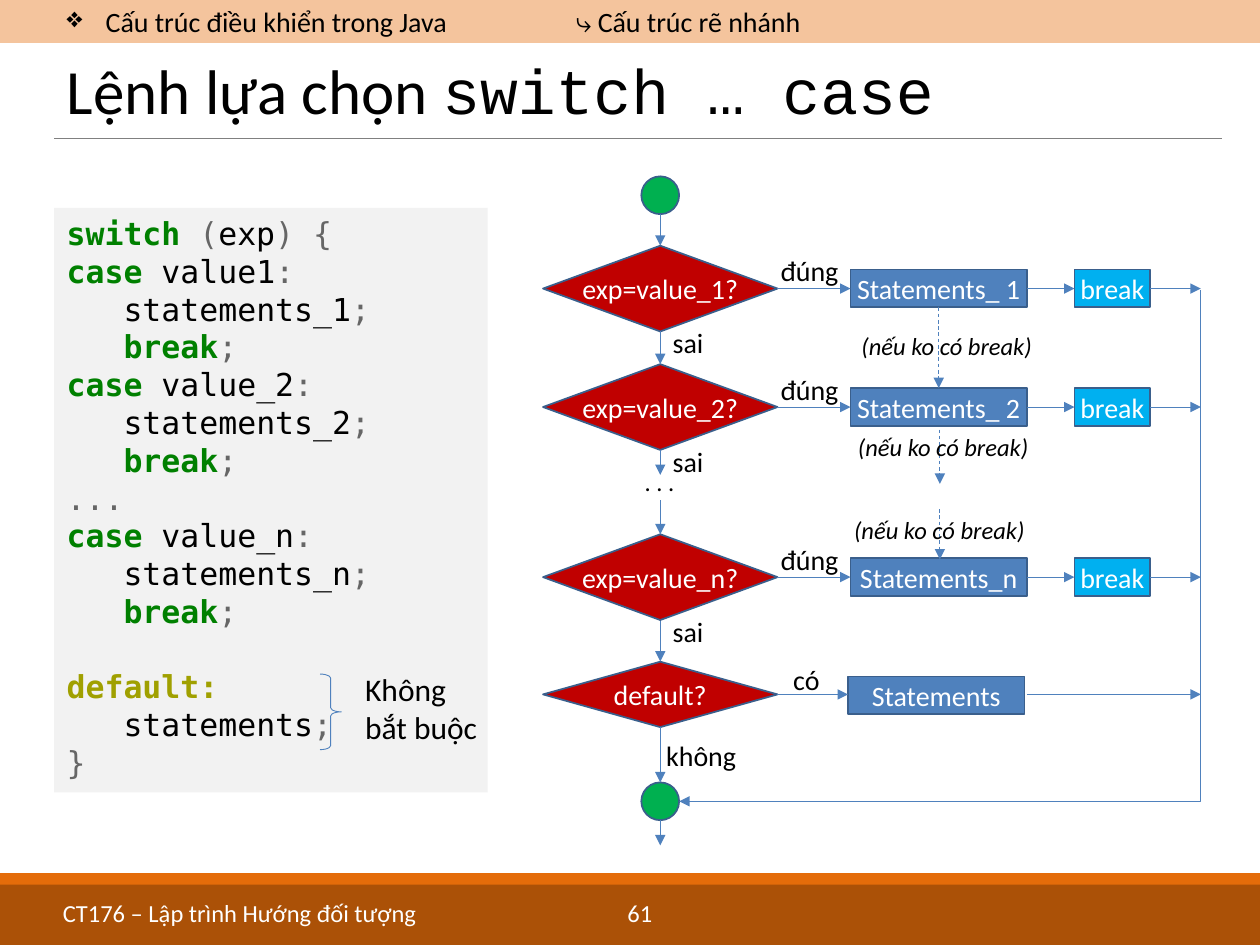
from lxml import etree
from pptx import Presentation
from pptx.dml.color import RGBColor
from pptx.enum import dml, shapes, text
from pptx.oxml.ns import qn
from pptx.util import Pt

BLACK = RGBColor(0x00, 0x00, 0x00)
WHITE = RGBColor(0xFF, 0xFF, 0xFF)
ORANGE = RGBColor(0xE4, 0x6C, 0x0A)
BROWN = RGBColor(0x98, 0x48, 0x07)
RULE_GREY = RGBColor(0x80, 0x80, 0x80)
CODE_BACK = RGBColor(0xF2, 0xF2, 0xF2)
KEYWORD = RGBColor(0x00, 0x80, 0x00)
LABEL = RGBColor(0xA0, 0xA0, 0x00)
SYMBOL = RGBColor(0x66, 0x66, 0x66)
BLUE = RGBColor(0x4F, 0x81, 0xBD)
OUTLINE = RGBColor(0x3A, 0x5F, 0x8C)
GREEN = RGBColor(0x00, 0xB0, 0x50)
RED = RGBColor(0xC0, 0x00, 0x00)
CYAN = RGBColor(0x00, 0xB0, 0xF0)

SHAPE = shapes.MSO_SHAPE
LEFT, CENTER = text.PP_ALIGN.LEFT, text.PP_ALIGN.CENTER
TOP, MIDDLE = text.MSO_ANCHOR.TOP, text.MSO_ANCHOR.MIDDLE

FLOW_X = 377.3
TEST_LEFT, TEST_WIDTH = 310.3, 134
STEP_LEFT, STEP_WIDTH = 486, 100.8
BREAK_LEFT, BREAK_WIDTH = 614, 43.2
BOX_HEIGHT = 21.6
EXIT_X = 686.2
CASES = [(164.9, "1", "Statements_ 1"), (232.6, "2", "Statements_ 2"),
         (329.8, "n", "Statements_n")]
DEFAULT_Y = 396.8


def write(paragraph, content, size=16, color=BLACK, font="Calibri", bold=False,
          italic=False, align=LEFT):
    """Add content, a string or a list of (string, format changes), to a paragraph."""
    paragraph.alignment = align
    base = dict(size=size, color=color, font=font, bold=bold, italic=italic)
    parts = [(content, {})] if isinstance(content, str) else content
    for words, changes in parts:
        style = {**base, **changes}
        run = paragraph.add_run()
        run.text = words
        run.font.size = Pt(style["size"])
        run.font.name = style["font"]
        run.font.bold = style["bold"]
        run.font.italic = style["italic"]
        run.font.color.rgb = style["color"]


def label(slide, content, left, top, width, height, anchor=TOP, **style):
    box = slide.shapes.add_textbox(Pt(left), Pt(top), Pt(width), Pt(height))
    frame = box.text_frame
    frame.word_wrap = True
    frame.vertical_anchor = anchor
    write(frame.paragraphs[0], content, **style)
    return frame


def block(slide, kind, left, top, width, height, fill=None, outline=None,
          weight=1, opacity=None, caption=None):
    shape = slide.shapes.add_shape(kind, Pt(left), Pt(top), Pt(width), Pt(height))
    shape.shadow.inherit = False
    if fill is None:
        shape.fill.background()
    else:
        shape.fill.solid()
        shape.fill.fore_color.rgb = fill
    if opacity:
        tint = shape._element.spPr.find(".//" + qn("a:srgbClr"))
        etree.SubElement(tint, qn("a:alpha"), val=str(opacity * 1000))
    if outline is None:
        shape.line.fill.background()
    else:
        shape.line.color.rgb = outline
        shape.line.width = Pt(weight)
    if caption:
        frame = shape.text_frame
        frame.word_wrap = False
        frame.vertical_anchor = MIDDLE
        frame.margin_left = frame.margin_right = 0
        frame.margin_top = frame.margin_bottom = 0
        write(frame.paragraphs[0], caption, color=WHITE, align=CENTER)
    return shape


def connect(slide, x1, y1, x2, y2, color=BLUE, arrow=True, dashed=False,
            kind=shapes.MSO_CONNECTOR.STRAIGHT):
    line = slide.shapes.add_connector(kind, Pt(x1), Pt(y1), Pt(x2), Pt(y2))
    line.line.color.rgb = color
    line.line.width = Pt(0.5)
    if dashed:
        line.line.dash_style = dml.MSO_LINE.DASH
    properties = line._element.spPr
    if arrow:
        etree.SubElement(properties.find(qn("a:ln")), qn("a:tailEnd"), type="triangle")
    etree.SubElement(properties, qn("a:effectLst"))
    return line


def set_tab(paragraph, position):
    tabs = etree.SubElement(paragraph._p.get_or_add_pPr(), qn("a:tabLst"))
    etree.SubElement(tabs, qn("a:tab"), pos=str(Pt(position)), algn="l")


def set_indent(paragraph, left, first=0):
    properties = paragraph._p.get_or_add_pPr()
    properties.set("marL", str(Pt(left)))
    properties.set("indent", str(Pt(first)))


def page_frame(slide):
    block(slide, SHAPE.RECTANGLE, 0, 0, 720, 24.5, ORANGE, opacity=40)
    block(slide, SHAPE.RECTANGLE, 0, 499, 720, 41, ORANGE)
    block(slide, SHAPE.RECTANGLE, 0, 505.5, 720, 34.5, BROWN, opacity=75)
    connect(slide, 31, 79.2, 698.4, 79.2, color=RULE_GREY, arrow=False)
    footer = label(slide, "CT176 – Lập trình Hướng đối tượng\t61", 28.8, 509.8, 669.6, 20,
                   size=14, color=WHITE).paragraphs[0]
    set_tab(footer, 322.7)
    trail = label(slide, "Cấu trúc điều khiển trong Java\t⤷ Cấu trúc rẽ nhánh",
                  31, 0.7, 618.5, 23, anchor=MIDDLE).paragraphs[0]
    set_indent(trail, 22.3, -22.3)
    etree.SubElement(trail._p.get_or_add_pPr(), qn("a:buChar"), char="❖")
    set_tab(trail, 291)


def heading(slide):
    title = slide.shapes.title
    title.left, title.top, title.width, title.height = Pt(31), Pt(28.8), Pt(667.4), Pt(50.4)
    frame = title.text_frame
    frame.auto_size = text.MSO_AUTO_SIZE.NONE
    frame.vertical_anchor = MIDDLE
    frame.paragraphs[0].line_spacing = 0.9
    write(frame.paragraphs[0], [("Lệnh lựa chọn ", {}),
                                ("switch … case", {"font": "Courier New"})], size=36)


def syntax_panel(slide):
    key, name, sign = {"color": KEYWORD, "bold": True}, {}, {"color": SYMBOL}

    def case_lines(value, suffix):
        return [(0, [("case ", key), (value, name), (":", sign)]),
                (1, [("statements_" + suffix, name), (";", sign)]),
                (1, [("break", key), (";", sign)])]

    default_line = (0, [("default:", {"color": LABEL, "bold": True})])
    lines = [(0, [("switch ", key), ("(", sign), ("exp", name), (") {", sign)]),
             *case_lines("value1", "1"), *case_lines("value_2", "2"),
             (0, [("...", sign)]), *case_lines("value_n", "n"), default_line,
             (1, [("statements", name), (";", sign)]), (0, [("}", sign)])]
    panel = block(slide, SHAPE.RECTANGLE, 31, 118.8, 247.7, 334.1, CODE_BACK)
    frame = panel.text_frame
    frame.vertical_anchor = TOP
    for number, line in enumerate(lines):
        paragraph = frame.add_paragraph() if number else frame.paragraphs[0]
        level, parts = line
        set_indent(paragraph, 32.5 * level)
        if line is default_line:
            paragraph.space_before = Pt(21.5)
        write(paragraph, parts, size=18, font="DejaVu Sans Mono")

    brace = block(slide, SHAPE.RIGHT_BRACE, 182.9, 385.2, 12.2, 43.2,
                  outline=BLUE, weight=0.5)
    brace.adjustments[0] = 0.19
    remark = label(slide, "Không", 201.6, 379.4, 81.4, 51, size=18)
    write(remark.add_paragraph(), "bắt buộc", size=18)


def test(slide, y, height, caption):
    block(slide, SHAPE.DIAMOND, TEST_LEFT, y - height / 2, TEST_WIDTH, height,
          RED, OUTLINE, caption=caption)


def step(slide, left, y, width, fill, caption):
    block(slide, SHAPE.RECTANGLE, left, y - BOX_HEIGHT / 2, width, BOX_HEIGHT,
          fill, OUTLINE, caption=caption)


def flowchart(slide):
    for top in (100.8, 447.1):
        block(slide, SHAPE.OVAL, FLOW_X - 10.8, top, BOX_HEIGHT, BOX_HEIGHT, GREEN, OUTLINE)
    label(slide, ". . .", 353.5, 263.5, 46.8, 24.5, size=14, align=CENTER)

    test_right = TEST_LEFT + TEST_WIDTH
    for y, value, statement in CASES:
        test(slide, y, 49, f"exp=value_{value}?")
        step(slide, STEP_LEFT, y, STEP_WIDTH, BLUE, statement)
        step(slide, BREAK_LEFT, y, BREAK_WIDTH, CYAN, "break")
        for start, end in ((test_right, STEP_LEFT), (STEP_LEFT + STEP_WIDTH, BREAK_LEFT),
                           (BREAK_LEFT + BREAK_WIDTH, EXIT_X)):
            connect(slide, start, y, end, y)
        label(slide, "đúng", 433.4, y - 23.5, 58.3, 26.6, align=CENTER)
        label(slide, "sai", FLOW_X, y + 17.8, 50.4, 26.6)

    test(slide, DEFAULT_Y, 37.4, "default?")
    step(slide, 484.6, DEFAULT_Y + 0.6, STEP_WIDTH, BLUE, "Statements")
    connect(slide, test_right, DEFAULT_Y, 484.6, DEFAULT_Y)
    connect(slide, 586.8, DEFAULT_Y, EXIT_X, DEFAULT_Y)
    label(slide, "có", 435.6, 375.1, 50.4, 26.6, align=CENTER)
    label(slide, "không", 371.5, 418.3, 58.3, 26.6, align=CENTER)

    for start, end in ((122.4, 140.4), (189.4, 208.1), (257, 271.4), (285.8, 305.3),
                       (355, 378), (415.4, 447.1), (468.7, 483.1)):
        connect(slide, FLOW_X, start, FLOW_X, end)
    for x, start, end in ((536.4, 175.7, 221.8), (537.1, 245.5, 276.5), (537.1, 290.9, 319.7)):
        connect(slide, x, start, x, end, dashed=True)
    for left, top in ((478, 185.8), (476, 243.4), (473.8, 290.9)):
        label(slide, "(nếu ko có break)", left, top, 126, 24.5, size=14,
              italic=True, align=CENTER)

    # A quarter turn makes the one-bend connector run down, then left.
    exit_path = connect(slide, 391, 162.7, 683.3, 460.8, kind=shapes.MSO_CONNECTOR.ELBOW)
    properties = exit_path._element.spPr
    properties.find(qn("a:prstGeom")).set("prst", "bentConnector2")
    properties.find(qn("a:xfrm")).set("rot", str(90 * 60000))


def main():
    deck = Presentation()
    deck.slide_width, deck.slide_height = Pt(720), Pt(540)
    slide = deck.slides.add_slide(deck.slide_layouts[5])
    page_frame(slide)
    heading(slide)
    syntax_panel(slide)
    flowchart(slide)
    deck.save("out.pptx")


if __name__ == "__main__":
    main()
